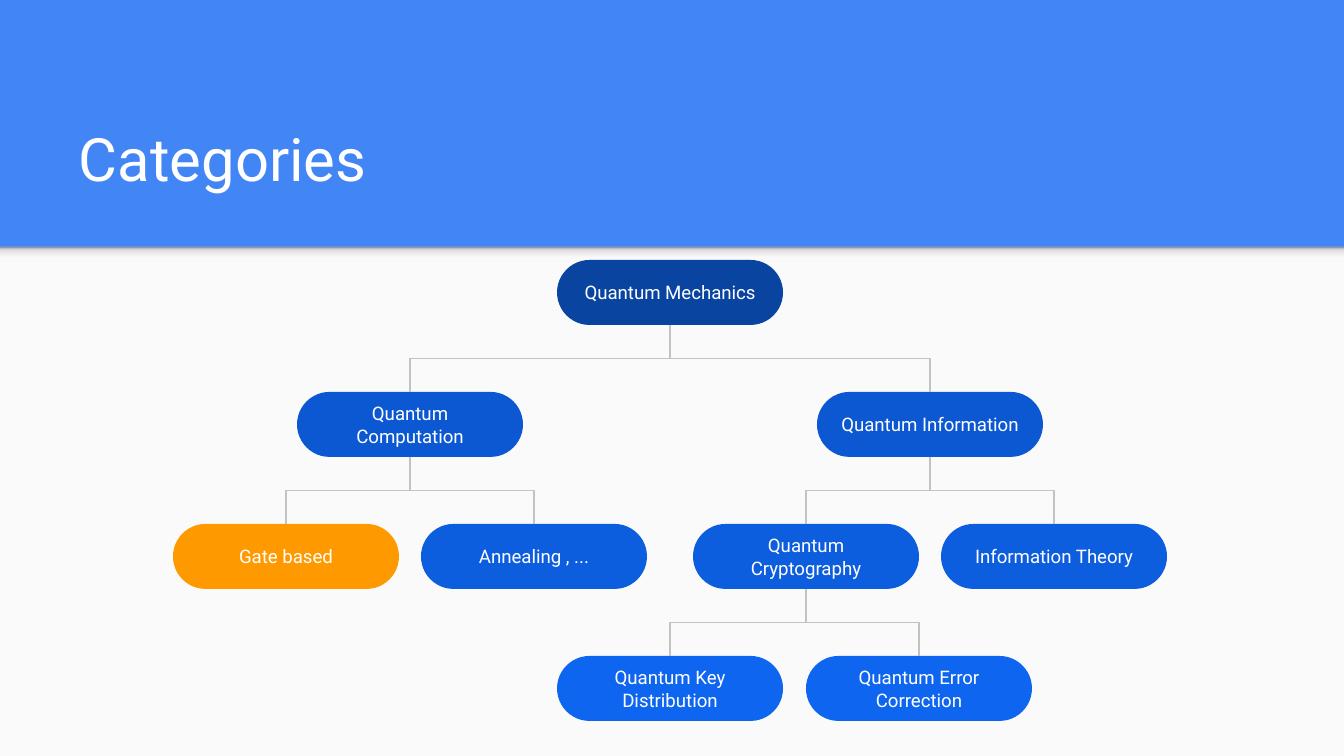
from lxml import etree
from pptx import Presentation
from pptx import util as u
from pptx.dml.color import RGBColor
from pptx.enum import shapes, text
from pptx.oxml import ns

EMU_PER_PX = 914400 / 134.4
WIDTH, HEIGHT = 1344, 756
BAND_HEIGHT = 247
NODE_WIDTH, NODE_HEIGHT = 226, 65
TREE_TOP, LEVEL_STEP = 260, 132

BLUE = RGBColor(0x42, 0x85, 0xF4)
PAPER = RGBColor(0xFA, 0xFA, 0xFA)
WHITE = RGBColor(0xFF, 0xFF, 0xFF)
GREY = RGBColor(0xC2, 0xC2, 0xC2)
NAVY = RGBColor(0x09, 0x44, 0xA1)
COBALT = RGBColor(0x0C, 0x58, 0xD3)
ROYAL = RGBColor(0x0D, 0x5D, 0xDF)
AZURE = RGBColor(0x0E, 0x65, 0xF0)
ORANGE = RGBColor(0xFF, 0x99, 0x00)
SHADE = [
    (0, RGBColor(0xF9, 0xF9, 0xF9)),
    (36, RGBColor(0xF9, 0xF9, 0xF9)),
    (80, RGBColor(0xDE, 0xDE, 0xDE)),
    (100, RGBColor(0x99, 0x99, 0x99)),
]

NODES = [
    ("Quantum Mechanics", 670, 0, NAVY, None),
    ("Quantum Computation", 410, 1, COBALT, "Quantum Mechanics"),
    ("Quantum Information", 930, 1, COBALT, "Quantum Mechanics"),
    ("Gate based", 286, 2, ORANGE, "Quantum Computation"),
    ("Annealing , ...", 534, 2, ROYAL, "Quantum Computation"),
    ("Quantum Cryptography", 806, 2, ROYAL, "Quantum Information"),
    ("Information Theory", 1054, 2, ROYAL, "Quantum Information"),
    ("Quantum Key Distribution", 670, 3, AZURE, "Quantum Cryptography"),
    ("Quantum Error Correction", 919, 3, AZURE, "Quantum Cryptography"),
]


def px(*lengths):
    return [u.Emu(round(length * EMU_PER_PX)) for length in lengths]


class Canvas:
    font = "Roboto"
    inset = 13

    def __init__(self, page):
        self.page = page

    def background(self, color):
        fill = self.page.background.fill
        fill.solid()
        fill.fore_color.rgb = color

    def label(self, shape, words, size, anchor, align):
        frame = shape.text_frame
        frame.text = words
        frame.word_wrap = True
        frame.vertical_anchor = anchor
        (margin,) = px(self.inset)
        frame.margin_left = frame.margin_right = margin
        frame.margin_top = frame.margin_bottom = margin
        para = frame.paragraphs[0]
        para.alignment = align
        font = para.runs[0].font
        font.name, font.size = self.font, u.Pt(size)
        font.color.rgb = WHITE

    def block(self, kind, left, top, width, height, color):
        shape = self.page.shapes.add_shape(kind, *px(left, top, width, height))
        shape.shadow.inherit = False
        shape.line.fill.background()
        shape.fill.solid()
        shape.fill.fore_color.rgb = color
        return shape

    def shade(self, left, top, width, height, stops):
        shape = self.block(shapes.MSO_SHAPE.RECTANGLE, left, top, width, height, PAPER)
        shape.fill.gradient()
        shape.fill.gradient_angle = 90
        stop_list = shape._element.spPr.find(".//" + ns.qn("a:gsLst"))
        for stop in list(stop_list):
            stop_list.remove(stop)
        for percent, color in stops:
            stop = etree.SubElement(stop_list, ns.qn("a:gs"), pos=str(percent * 1000))
            etree.SubElement(stop, ns.qn("a:srgbClr"), val=str(color))

    def title(self, words, left, top, width, height):
        box = self.page.shapes.add_textbox(*px(left, top, width, height))
        self.label(box, words, 32, text.MSO_ANCHOR.BOTTOM, text.PP_ALIGN.LEFT)

    def node(self, words, center, top, color):
        pill = self.block(shapes.MSO_SHAPE.ROUNDED_RECTANGLE, center - NODE_WIDTH / 2,
                          top, NODE_WIDTH, NODE_HEIGHT, color)
        pill.adjustments[0] = 0.5
        self.label(pill, words, 10, text.MSO_ANCHOR.MIDDLE, text.PP_ALIGN.CENTER)

    def branch(self, start_x, start_y, end_x, end_y):
        middle_x, middle_y = (start_x + end_x) / 2, (start_y + end_y) / 2
        half_span = abs(end_x - start_x) / 2
        turn = 1 if end_x < start_x else -1
        half_drop = turn * (end_y - start_y) / 2
        line = self.page.shapes.add_connector(
            shapes.MSO_CONNECTOR.ELBOW,
            *px(middle_x - half_drop, middle_y - half_span,
                middle_x + half_drop, middle_y + half_span))
        line.line.color.rgb = GREY
        line.line.width = u.Pt(0.75)
        properties = line._element.spPr
        properties.find(ns.qn("a:xfrm")).set("rot", str(turn * 90 % 360 * 60000))
        etree.SubElement(properties, ns.qn("a:effectLst"))


def main():
    deck = Presentation()
    deck.slide_width, deck.slide_height = px(WIDTH, HEIGHT)
    canvas = Canvas(deck.slides.add_slide(deck.slide_layouts[6]))
    canvas.background(BLUE)
    canvas.block(shapes.MSO_SHAPE.RECTANGLE, 0, BAND_HEIGHT, WIDTH,
                 HEIGHT - BAND_HEIGHT, PAPER)
    canvas.shade(0, BAND_HEIGHT, WIDTH, 16, SHADE)
    canvas.title("Categories", 66, 93, 1208, 113)

    places = {}
    for words, center, level, color, parent in NODES:
        top = TREE_TOP + level * LEVEL_STEP
        places[words] = center, top
        canvas.node(words, center, top, color)
        if parent:
            parent_center, parent_top = places[parent]
            canvas.branch(parent_center, parent_top + NODE_HEIGHT, center, top)

    deck.save("out.pptx")


if __name__ == "__main__":
    main()
